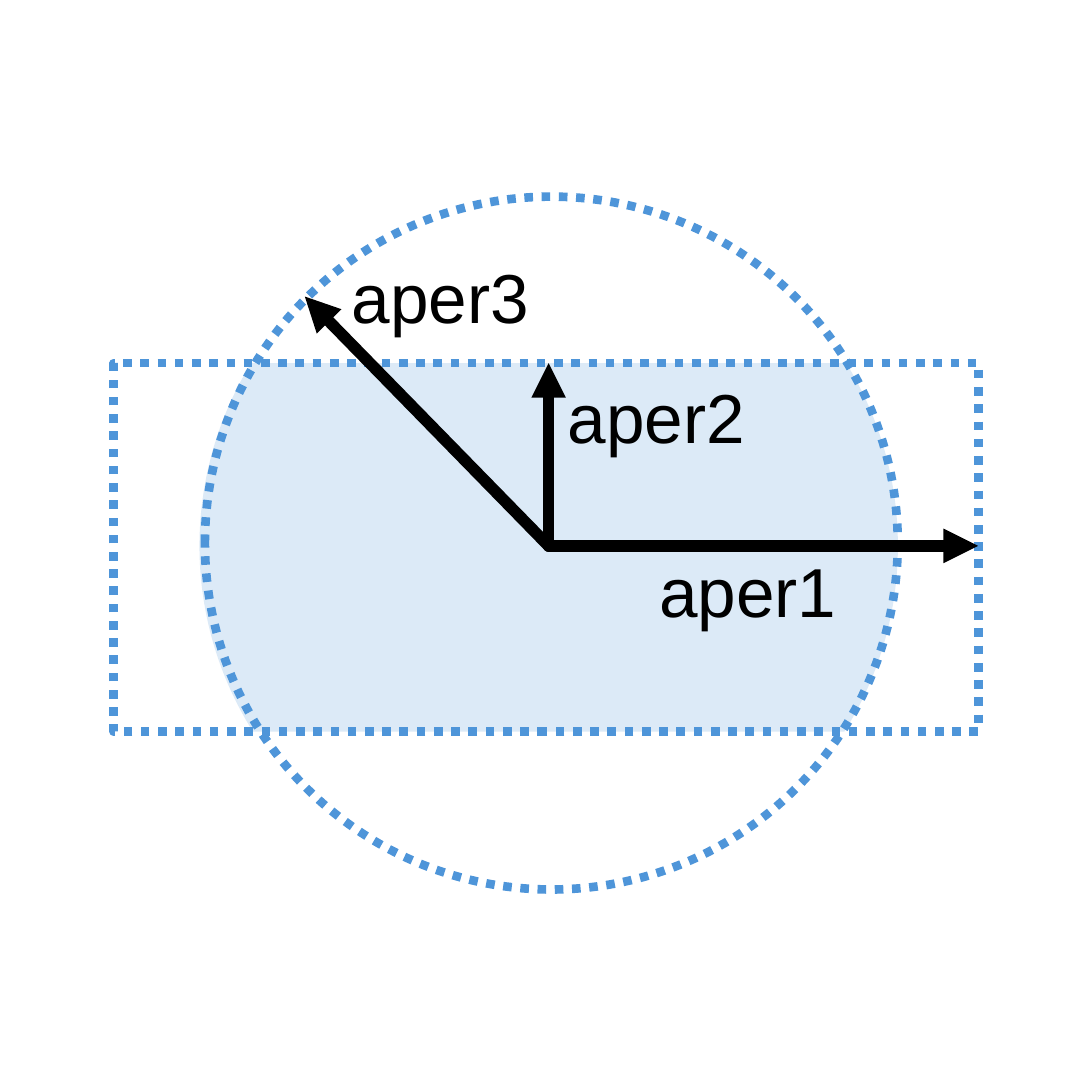
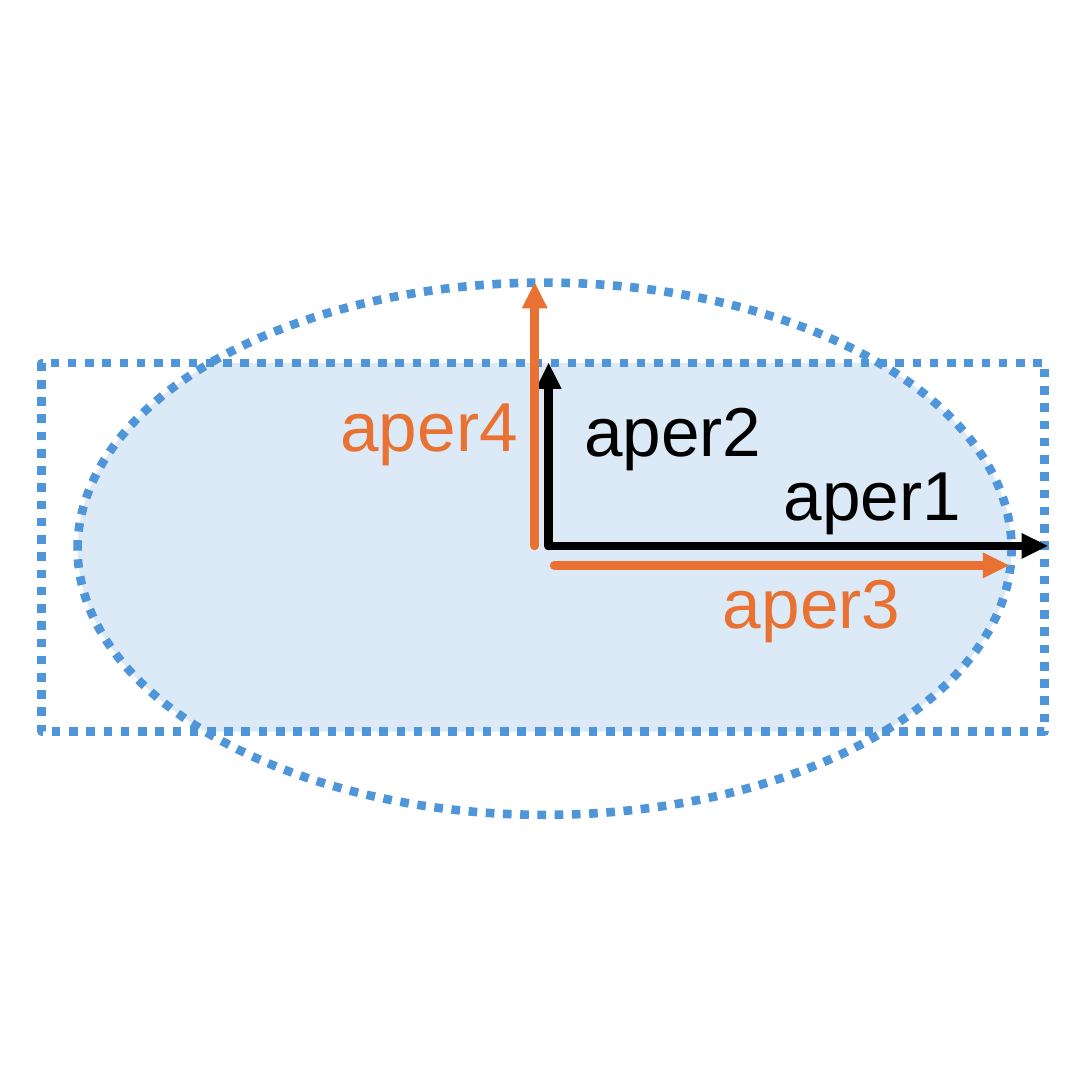
"""Builds two slides that show how apertures are set by a rectangle and an ellipse."""
from dataclasses import dataclass

from lxml.etree import SubElement
from pptx import Presentation
from pptx.dml.color import RGBColor
from pptx.enum.dml import MSO_LINE
from pptx.enum.shapes import MSO_CONNECTOR, MSO_SHAPE
from pptx.enum.text import MSO_AUTO_SIZE
from pptx.oxml.ns import qn
from pptx.util import Inches, Pt


@dataclass(frozen=True)
class Theme:
    """Colours, font and sizes that both slides share."""
    paper: str = "FFFFFF"
    area: str = "DCEAF7"
    outline: str = "4E95D9"
    ink: str = "000000"
    accent: str = "E97132"
    font: str = "Arial"
    label: float = 18
    thin: float = 2.25
    thick: float = 3


THEME = Theme()
SIDE = Inches(3.94)
CENTRE = (50.25, 50)
TOP, BAND = 33.25, 33.76
LABEL_SIZE = (21.57, 10.15)
MASKS = [(0.76, 15.48, 98.98, 17.77), (0.25, TOP + BAND, 98.98, 17.51)]


def write(tf, text, *, size=THEME.label, color=THEME.ink, font=THEME.font):
    """Put one formatted run into a text frame."""
    r = tf.paragraphs[0].add_run()
    r.text = text
    r.font.size = Pt(size)
    r.font.name = font
    r.font.color.rgb = RGBColor.from_string(color)


class Deck:
    """Draws on the current slide in percent of the slide's side."""

    def __init__(self):
        """Start a square presentation."""
        self.prs = Presentation()
        self.prs.slide_width = self.prs.slide_height = SIDE
        self.slide = None

    def add_slide(self):
        """Make a new blank slide the current one."""
        self.slide = self.prs.slides.add_slide(self.prs.slide_layouts[6])
        bg = self.slide.background.fill
        bg.solid()
        bg.fore_color.rgb = RGBColor.from_string(THEME.paper)

    def emu(self, *shares):
        """Turn percentages of the side into lengths."""
        return [round(SIDE * share / 100) for share in shares]

    def filled(self, kind, box, color):
        """Add a shape with a fill and no line."""
        sp = self.slide.shapes.add_shape(kind, *self.emu(*box))
        sp.shadow.inherit = False
        sp.fill.solid()
        sp.fill.fore_color.rgb = RGBColor.from_string(color)
        sp.line.fill.background()

    def dotted(self, kind, box):
        """Add a shape with a dotted line and no fill."""
        sp = self.slide.shapes.add_shape(kind, *self.emu(*box))
        sp.shadow.inherit = False
        sp.fill.background()
        sp.line.color.rgb = RGBColor.from_string(THEME.outline)
        sp.line.width = Pt(THEME.thin)
        sp.line.dash_style = MSO_LINE.ROUND_DOT

    def aperture(self, ellipse, area, left, width):
        """Add the area shared by an ellipse and a rectangle, and both outlines."""
        self.filled(MSO_SHAPE.OVAL, area, THEME.area)
        for mask in MASKS:
            self.filled(MSO_SHAPE.RECTANGLE, mask, THEME.paper)
        self.dotted(MSO_SHAPE.RECTANGLE, (left, TOP, width, BAND))
        self.dotted(MSO_SHAPE.OVAL, ellipse)

    def arrow(self, start, end, width, color=THEME.ink):
        """Add a round-capped line with an arrowhead at its end."""
        sp = self.slide.shapes.add_connector(
            MSO_CONNECTOR.STRAIGHT, *self.emu(*start, *end))
        sp.line.color.rgb = RGBColor.from_string(color)
        sp.line.width = Pt(width)
        ln = sp.line._get_or_add_ln()
        ln.set("cap", "rnd")
        SubElement(ln, qn("a:round"))
        SubElement(ln, qn("a:tailEnd"), type="triangle")
        SubElement(sp._element.spPr, qn("a:effectLst"))

    def label(self, text, at, color=THEME.ink):
        """Add a one-line label."""
        tf = self.slide.shapes.add_textbox(*self.emu(*at, *LABEL_SIZE)).text_frame
        tf.word_wrap = False
        tf.auto_size = MSO_AUTO_SIZE.SHAPE_TO_FIT_TEXT
        write(tf, text, color=color)


def circle_slide(deck):
    """Rectangle and circle with three apertures."""
    deck.add_slide()
    deck.aperture((18.78, 18.02, 63.45, 63.45), (18.27, 18.02, 63.96, 63.96),
                  10.41, 79.19)
    for end in [(89.59, 50), (CENTRE[0], TOP), (27.92, 27.16)]:
        deck.arrow(CENTRE, end, THEME.thick)
    for text, at in [("aper1", (57.87, 48.98)), ("aper2", (49.49, 32.99)),
                     ("aper3", (29.7, 22.08))]:
        deck.label(text, at)


def ellipse_slide(deck):
    """Rectangle and ellipse with four apertures."""
    deck.add_slide()
    ellipse = (7.11, 25.89, 85.53, 48.73)
    deck.aperture(ellipse, ellipse, 3.81, 91.88)
    for text, start, end, at, color in [
        ("aper1", CENTRE, (95.94, 50), (69.29, 40.1), THEME.ink),
        ("aper2", CENTRE, (CENTRE[0], TOP), (51.02, 34.26), THEME.ink),
        ("aper3", (50.76, 51.78), (92.39, 51.78), (63.71, 50), THEME.accent),
        ("aper4", (48.98, 50), (48.98, 25.89), (28.68, 33.76), THEME.accent),
    ]:
        deck.arrow(start, end, THEME.thin, color)
        deck.label(text, at, color)


def main():
    """Build and save both slides."""
    deck = Deck()
    circle_slide(deck)
    ellipse_slide(deck)
    deck.prs.save("out.pptx")


if __name__ == "__main__":
    main()
